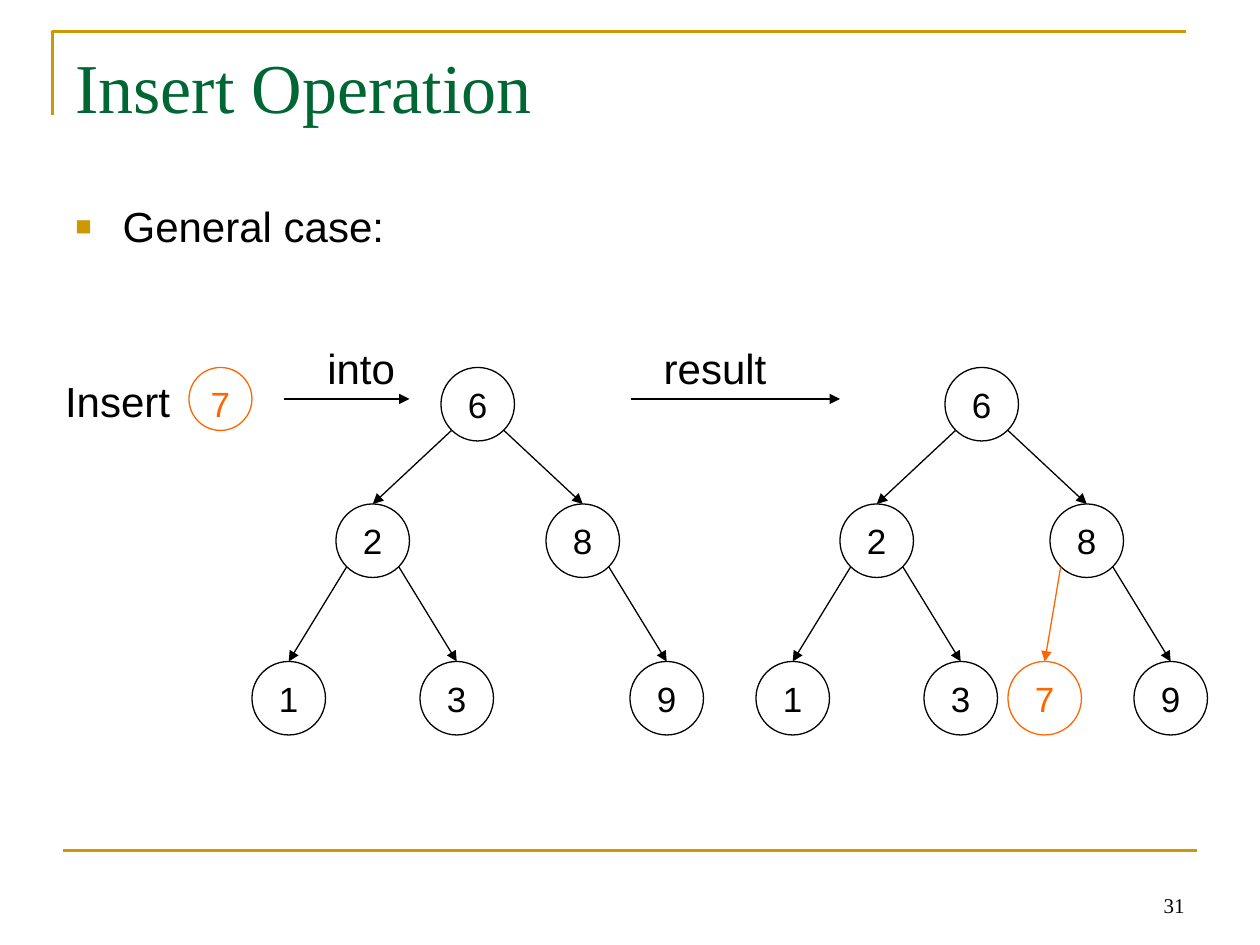
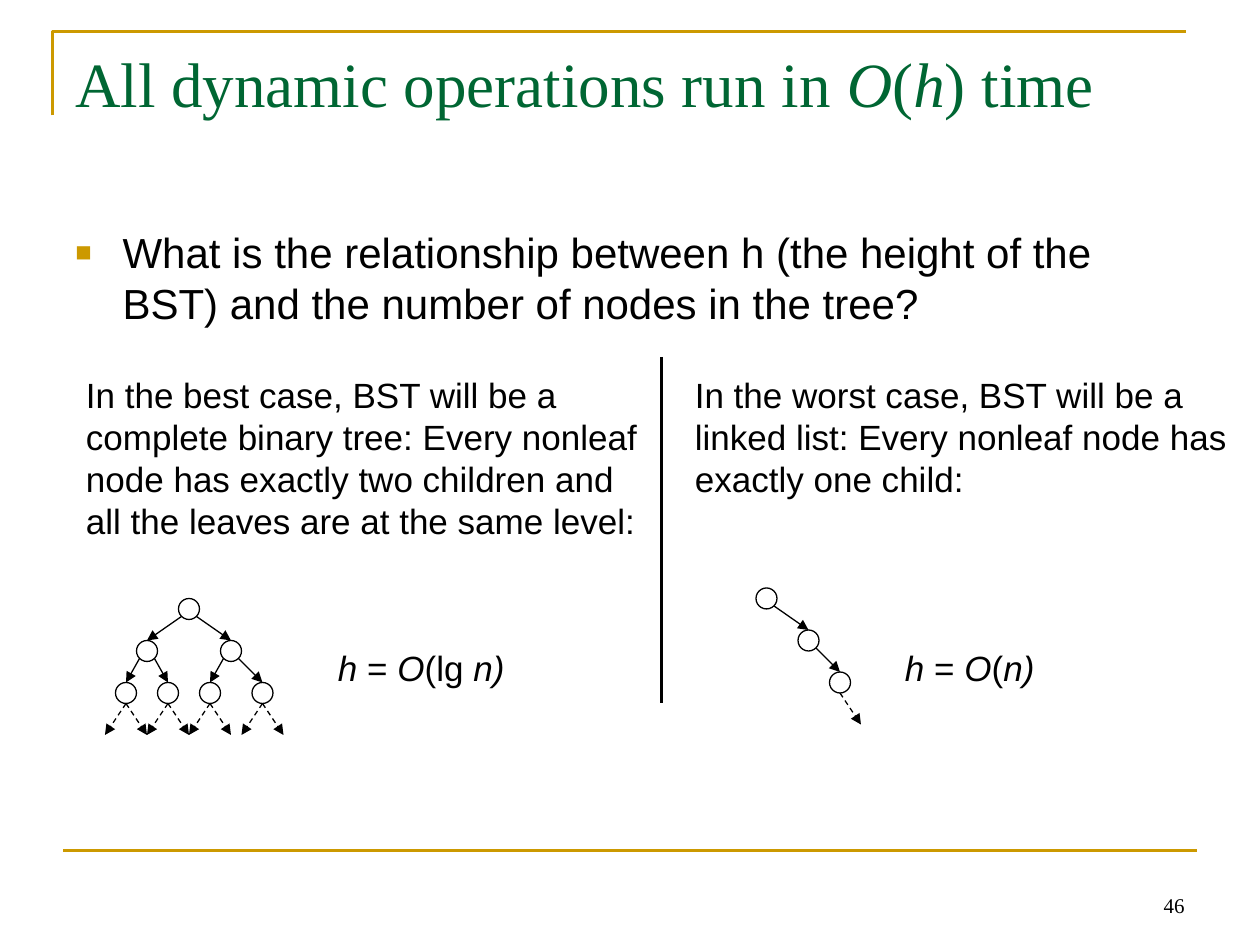
from math import sqrt

from lxml import etree
from pptx import Presentation
from pptx.dml.color import RGBColor
from pptx.enum.dml import MSO_LINE
from pptx.enum.shapes import MSO_CONNECTOR, MSO_SHAPE
from pptx.enum.text import MSO_ANCHOR, PP_ALIGN
from pptx.oxml.ns import qn
from pptx.util import Pt

PX = 7620  # 120 px to the inch
BLACK = RGBColor(0x00, 0x00, 0x00)
GOLD = RGBColor(0xCC, 0x99, 0x00)
GREEN = RGBColor(0x00, 0x66, 0x33)
ORANGE = RGBColor(0xFF, 0x66, 0x00)
SANS, SERIF = "Arial", "Times New Roman"
STRAIGHT, OVAL, DASH = MSO_CONNECTOR.STRAIGHT, MSO_SHAPE.OVAL, MSO_LINE.DASH
LEFT, CENTER, RIGHT = PP_ALIGN.LEFT, PP_ALIGN.CENTER, PP_ALIGN.RIGHT
TOP, MIDDLE, BOTTOM = MSO_ANCHOR.TOP, MSO_ANCHOR.MIDDLE, MSO_ANCHOR.BOTTOM
TOP_SITE = 0


def px(*values):
    return [round(v * PX) for v in values]


def write_runs(p, text, **style):
    """Write text into p; parts between asterisks become italic."""
    for i, part in enumerate(text.split("*")):
        if part:
            r = p.add_run()
            r.text = part
            r.font.color.rgb = style["color"]
            for name in ("name", "size"):
                setattr(r.font, name, style[name])
            r.font.italic = i % 2 == 1


def add_text(slide, box, paragraphs, size, name=SANS, color=BLACK,
             align=LEFT, anchor=TOP, wrap=True):
    tf = slide.shapes.add_textbox(*px(*box)).text_frame
    tf.word_wrap, tf.vertical_anchor = wrap, anchor
    for i, text in enumerate(paragraphs):
        p = tf.add_paragraph() if i else tf.paragraphs[0]
        p.alignment = align
        write_runs(p, text, name=name, size=Pt(size), color=color)
    return tf


def add_line(slide, start, end, color=BLACK, width=0.75, arrow=False, dash=None):
    c = slide.shapes.add_connector(STRAIGHT, *px(*start, *end))
    c.line.color.rgb, c.line.width, c.line.dash_style = color, Pt(width), dash
    if arrow:
        etree.SubElement(c.line._get_or_add_ln(), qn("a:tailEnd"), type="triangle")
    etree.SubElement(c._element.spPr, qn("a:effectLst"))
    return c


def add_frame(slide, number):
    """Corner bracket, footer rule and slide number."""
    builder = slide.shapes.build_freeform(50, 110, scale=PX)
    builder.add_line_segments([(50, 30), (1130, 30)], close=False)
    bracket = builder.convert_to_shape()
    bracket.fill.background()
    bracket.line.color.rgb, bracket.line.width = GOLD, Pt(1.5)
    bracket.shadow.inherit = False
    add_line(slide, (60, 810), (1140, 810), GOLD, 1.5)
    add_text(slide, (860, 820, 280, 60), [str(number)], 12, SERIF,
             align=RIGHT, anchor=BOTTOM)


def add_bullet(slide, box, text):
    p = add_text(slide, box, [text], 24).paragraphs[0]
    pPr = p._p.get_or_add_pPr()
    indent = px(45)[0]
    pPr.set("marL", str(indent))
    pPr.set("indent", str(-indent))
    color = etree.SubElement(pPr, qn("a:buClr"))
    etree.SubElement(color, qn("a:srgbClr"), val=str(GOLD))
    etree.SubElement(pPr, qn("a:buSzPct"), val="65000")
    etree.SubElement(pPr, qn("a:buFont"), typeface=SANS)
    etree.SubElement(pPr, qn("a:buChar"), char="■")


def new_slide(prs, number, title, title_size, bullet, bullet_top):
    slide = prs.slides.add_slide(prs.slide_layouts[6])
    add_frame(slide, number)
    add_text(slide, (60, 36, 1080, 150), [title], title_size, SERIF, GREEN)
    add_bullet(slide, (60, bullet_top, 1080, 594), bullet)
    return slide


def add_node(slide, x, y, d, label="", color=BLACK):
    s = slide.shapes.add_shape(OVAL, *px(x, y, d, d))
    s.fill.background()
    s.line.color.rgb, s.line.width = color, Pt(0.75)
    s.shadow.inherit = False
    if label:
        tf = s.text_frame
        tf.vertical_anchor, tf.word_wrap = MIDDLE, False
        for side in ("left", "top", "right", "bottom"):
            setattr(tf, f"margin_{side}", 0)
        tf.paragraphs[0].alignment = CENTER
        write_runs(tf.paragraphs[0], label, name=SANS, size=Pt(20), color=color)
    return s


def add_tree(slide, origin, d, nodes, edges, labelled=False, new=None):
    """Draw nodes of diameter d at offsets from origin; the new one is orange."""
    x0, y0 = origin
    circles = {}
    for key, (x, y) in nodes.items():
        circles[key] = add_node(slide, x0 + x, y0 + y, d, key if labelled else "",
                                ORANGE if key == new else BLACK)
    reach = d / 2 / sqrt(2)
    for parent, child in edges:
        (x1, y1), (x2, y2) = nodes[parent], nodes[child]
        side = -reach if x2 < x1 else reach
        c = add_line(slide, (x0 + x1 + d / 2 + side, y0 + y1 + d / 2 + reach),
                     (x0 + x2 + d / 2, y0 + y2),
                     ORANGE if child == new else BLACK, arrow=True)
        c.end_connect(circles[child], TOP_SITE)


def add_stub(slide, x, y, dx, dy):
    """Dashed arrow that stands for a subtree not drawn."""
    add_line(slide, (x, y), (x + dx, y + dy), arrow=True, dash=DASH)


def add_labelled_arrow(slide, x, width, label, label_box):
    add_line(slide, (x, 380), (x + width, 380), arrow=True)
    add_text(slide, label_box, [label], 24, align=CENTER, wrap=False)


def insert_slide(prs):
    slide = new_slide(prs, 31, "Insert Operation", 40, "General case:", 185)
    before = {"6": (180, 0), "2": (80, 130), "8": (280, 130),
              "1": (0, 280), "3": (160, 280), "9": (360, 280)}
    edges = ["62", "68", "21", "23", "89"]
    add_tree(slide, (240, 350), 70, before, edges, labelled=True)
    add_tree(slide, (720, 350), 70, {**before, "7": (240, 280)}, edges + ["87"],
             labelled=True, new="7")
    add_text(slide, (40, 352, 144, 60), ["Insert"], 24, align=CENTER, wrap=False)
    key = add_node(slide, 180, 350, 60, "7", ORANGE)
    key.text_frame.margin_top = px(8)[0]
    add_labelled_arrow(slide, 270, 120, "into", (284, 320, 120, 60))
    add_labelled_arrow(slide, 601, 199, "result", (606, 320, 150, 60))


def best_case(slide):
    add_text(slide, (70, 350, 580, 173),
             ["In the best case, BST will be a complete binary tree: Every nonleaf "
              "node has exactly two children and",
              "all the leaves are at the same level:"], 20)
    x, y, d = 110, 570, 20
    leaves = {"d": (0, 80), "e": (40, 80), "f": (80, 80), "g": (130, 80)}
    add_tree(slide, (x, y), d,
             {"a": (60, 0), "b": (20, 40), "c": (100, 40), **leaves},
             ["ab", "ac", "bd", "be", "cf", "cg"])
    for leaf_x, leaf_y in leaves.values():
        for dx in (-20, 20):
            add_stub(slide, x + leaf_x + d / 2, y + leaf_y + d, dx, 30)
    add_text(slide, (310, 610, 240, 53), ["*h* = *O*(lg *n)*"], 20)


def worst_case(slide):
    add_text(slide, (650, 350, 540, 132),
             ["In the worst case, BST will be a linked list: Every nonleaf node "
              "has exactly one child:"], 20)
    add_tree(slide, (720, 560), 20, {"a": (0, 0), "b": (40, 40), "c": (70, 80)},
             ["ab", "bc"])
    add_stub(slide, 800, 660, 20, 30)
    add_text(slide, (850, 610, 240, 53), ["*h* = *O*(*n)*"], 20)


def height_slide(prs):
    slide = new_slide(prs, 46, "All dynamic operations run in *O*(*h*) time", 36,
                      "What is the relationship between h (the height of the BST) "
                      "and the number of nodes in the tree?", 210)
    best_case(slide)
    worst_case(slide)
    add_line(slide, (630, 340), (630, 670), width=2.25)


def main():
    prs = Presentation()
    prs.slide_width, prs.slide_height = px(1200, 900)
    insert_slide(prs)
    height_slide(prs)
    prs.save("out.pptx")


if __name__ == "__main__":
    main()
